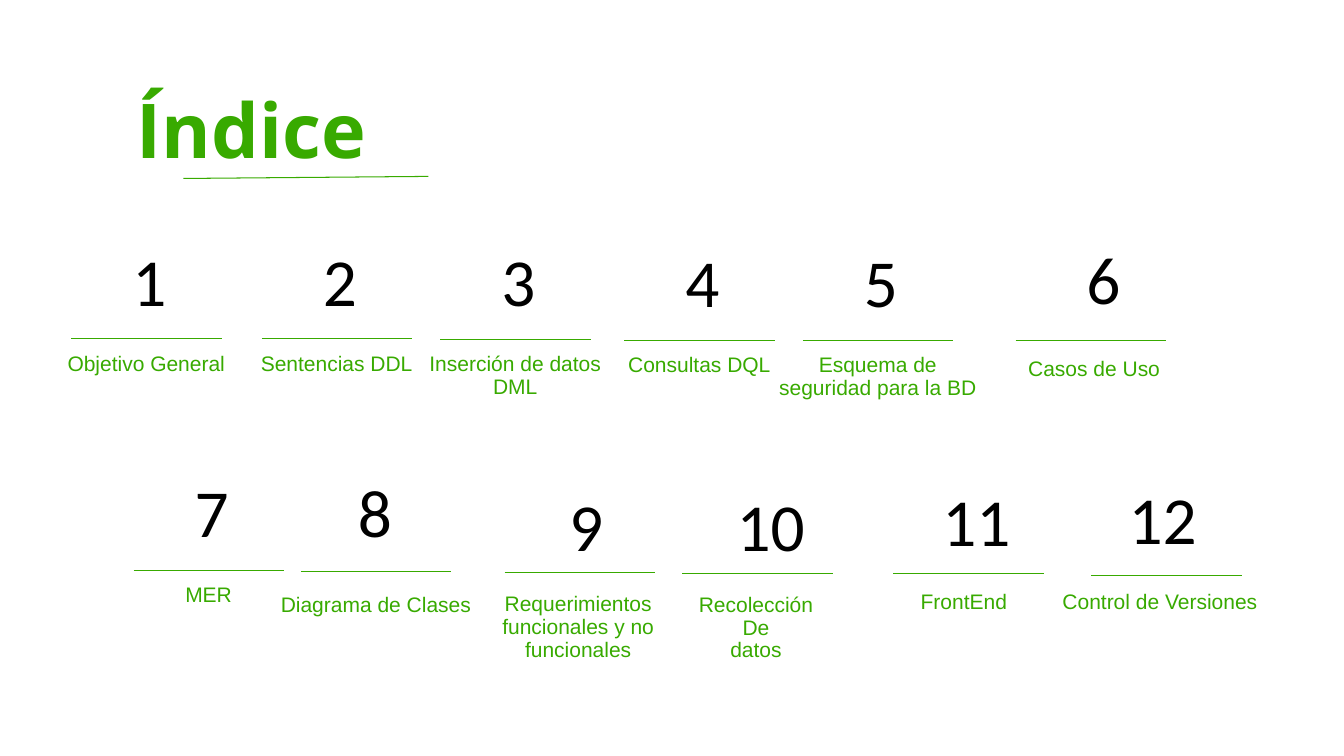
from lxml.etree import SubElement
from pptx import Presentation
from pptx.dml.color import RGBColor
from pptx.enum.shapes import MSO_CONNECTOR
from pptx.enum.text import MSO_AUTO_SIZE, PP_ALIGN
from pptx.oxml.ns import qn
from pptx.util import Pt

GREEN = RGBColor(0x38, 0xAA, 0x00)
BLACK = RGBColor(0x00, 0x00, 0x00)

TITLE_FORMAT = {"name": "Open Sans", "size": Pt(54), "bold": True}
NUMBER_FORMAT = {"name": "Calibri", "size": Pt(48)}
LABEL_FORMAT = {"name": "Arial", "size": Pt(15)}

RULE_WIDTH = 107.5
LABEL_SIZE = (156, 34.5)
NUMBER_HEIGHT = 79
NUMBER_WIDTHS = {1: 42, 2: 65}  # by count of digits

# Usual place of number and label, measured from the left end of the rule
NUMBER_OFFSET = (36.5, -78.5)
LABEL_OFFSET = (-24.5, 6.5)

# Label lines, left end of the rule, number offset, label offset
ENTRIES = [
    (["Objetivo General"], (51, 242), NUMBER_OFFSET, LABEL_OFFSET),
    (["Sentencias DDL"], (187, 242), NUMBER_OFFSET, LABEL_OFFSET),
    (["Inserción de datos", "DML"], (314.5, 242.5), NUMBER_OFFSET, LABEL_OFFSET),
    (["Consultas DQL"], (446, 243), NUMBER_OFFSET, LABEL_OFFSET),
    (["Esquema de seguridad para la BD"], (573.5, 243), NUMBER_OFFSET, LABEL_OFFSET),
    (["Casos de Uso"], (725.5, 243), (43.5, -81), (-22, 9.5)),
    (["MER"], (95.5, 407.5), NUMBER_OFFSET, LABEL_OFFSET),
    (["Diagrama de Clases"], (215, 408.5), (33.5, -79.5), (-24.5, 12.5)),
    (["Requerimientos funcionales y no funcionales"], (360.5, 409), (39, -70.5), (-25.5, 11.5)),
    (["Recolección", "De", "datos"], (487.5, 409.5), (31.5, -70.5), (-25.5, 11.5)),
    (["FrontEnd"], (638, 409.5), (28, -74), (-27.5, 9.5)),
    (["Control de Versiones"], (779.5, 411), (19.5, -77.5), (-29, 8)),
]


def add_text(slide, lines, position, size, font_format, color,
             vertical_inset=7.2, paragraph_format=None):
    """Add a text box with one paragraph for each line."""
    box = slide.shapes.add_textbox(*map(Pt, position + size))
    frame = box.text_frame
    frame_format = {
        "word_wrap": True,
        "margin_left": Pt(7.2), "margin_right": Pt(7.2),
        "margin_top": Pt(vertical_inset), "margin_bottom": Pt(vertical_inset),
    }
    for name, value in frame_format.items():
        setattr(frame, name, value)
    for index, line in enumerate(lines):
        paragraph = frame.add_paragraph() if index else frame.paragraphs[0]
        for name, value in (paragraph_format or {}).items():
            setattr(paragraph, name, value)
        run = paragraph.add_run()
        run.text = line
        for name, value in font_format.items():
            setattr(run.font, name, value)
        run.font.color.rgb = color
    return box


def add_rule(slide, start, end):
    """Add a thin green line without a shadow."""
    rule = slide.shapes.add_connector(MSO_CONNECTOR.STRAIGHT, *map(Pt, start + end))
    rule.line.color.rgb = GREEN
    rule.line.width = Pt(0.75)
    SubElement(rule._element.spPr, qn("a:effectLst"))


def add_title(slide):
    title = add_text(slide, ["Índice"], (90.5, 42.5), (348, 80), TITLE_FORMAT, GREEN,
                     paragraph_format={"line_spacing": 1.15, "space_after": Pt(12)})
    title.text_frame.auto_size = MSO_AUTO_SIZE.SHAPE_TO_FIT_TEXT
    add_rule(slide, (131, 127.5), (306, 126))


def add_entry(slide, number, lines, rule_start, number_offset, label_offset):
    """Add a number, the rule below it and its label."""
    left, top = rule_start
    add_text(slide, [str(number)], (left + number_offset[0], top + number_offset[1]),
             (NUMBER_WIDTHS[len(str(number))], NUMBER_HEIGHT), NUMBER_FORMAT, BLACK)
    add_rule(slide, rule_start, (left + RULE_WIDTH, top))
    add_text(slide, lines, (left + label_offset[0], top + label_offset[1]), LABEL_SIZE,
             LABEL_FORMAT, GREEN, vertical_inset=3.6,
             paragraph_format={"alignment": PP_ALIGN.CENTER, "line_spacing": 0.9})


def main():
    presentation = Presentation()
    presentation.slide_width = Pt(960)
    presentation.slide_height = Pt(540)
    slide = presentation.slides.add_slide(presentation.slide_layouts[6])

    # Heading
    add_title(slide)

    # Index entries
    for number, entry in enumerate(ENTRIES, start=1):
        add_entry(slide, number, *entry)

    presentation.save("out.pptx")


if __name__ == "__main__":
    main()
